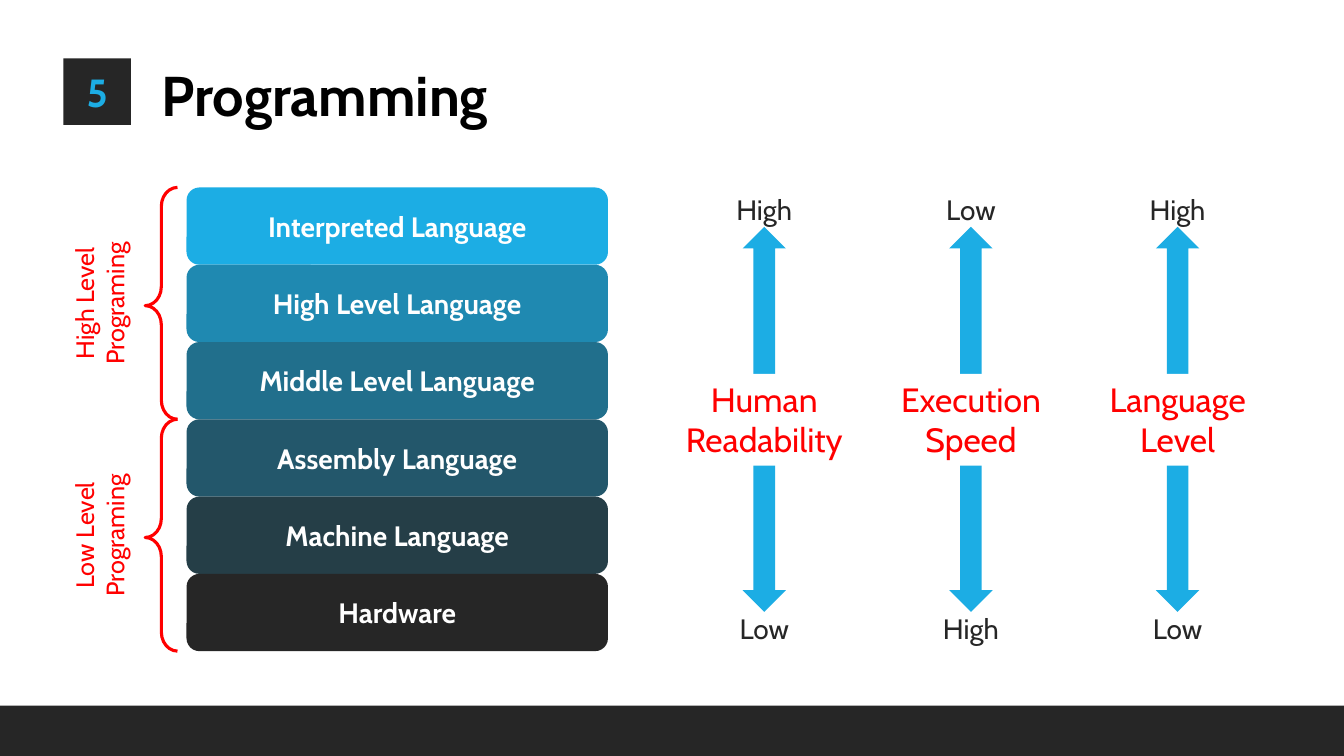
from dataclasses import dataclass

from pptx import Presentation
from pptx.dml.color import RGBColor
from pptx.enum.shapes import MSO_SHAPE
from pptx.enum.text import MSO_ANCHOR, PP_ALIGN
from pptx.shapes.autoshape import Shape
from pptx.slide import Slide
from pptx.util import Inches, Pt

RECTANGLE = MSO_SHAPE.RECTANGLE
ROUNDED = MSO_SHAPE.ROUNDED_RECTANGLE
BRACE = MSO_SHAPE.LEFT_BRACE
ARROW = MSO_SHAPE.UP_DOWN_ARROW
CENTER, LEFT = PP_ALIGN.CENTER, PP_ALIGN.LEFT
MIDDLE, TOP = MSO_ANCHOR.MIDDLE, MSO_ANCHOR.TOP

FONT = "Cabin"
DARK = RGBColor(0x26, 0x26, 0x26)
BLUE = RGBColor(0x1C, 0xAD, 0xE4)
RED = RGBColor(0xFF, 0x00, 0x00)
WHITE = RGBColor(0xFF, 0xFF, 0xFF)
BLACK = RGBColor(0x00, 0x00, 0x00)

STACK_TOP, STACK_HEIGHT = 1.86, 4.6


@dataclass(frozen=True)
class Box:
    left: float
    top: float
    width: float
    height: float


@dataclass(frozen=True)
class TextStyle:
    size: int
    color: RGBColor
    bold: bool = False
    align: PP_ALIGN = CENTER
    anchor: MSO_ANCHOR = TOP


@dataclass(frozen=True)
class Layer:
    text: str
    fill: RGBColor


@dataclass(frozen=True)
class Scale:
    name: str
    top_label: str
    bottom_label: str


NUMBER = TextStyle(28, BLUE, bold=True, anchor=MIDDLE)
TITLE = TextStyle(40, BLACK, bold=True, align=LEFT)
LAYER = TextStyle(20, WHITE, bold=True, anchor=MIDDLE)
GROUP = TextStyle(18, RED)
SCALE_END = TextStyle(20, DARK)
SCALE_NAME = TextStyle(24, RED)

LAYERS = [
    Layer("Interpreted Language", BLUE),
    Layer("High Level Language", RGBColor(0x1F, 0x89, 0xB1)),
    Layer("Middle Level Language", RGBColor(0x21, 0x6F, 0x8C)),
    Layer("Assembly Language", RGBColor(0x23, 0x57, 0x6B)),
    Layer("Machine Language", RGBColor(0x25, 0x3E, 0x47)),
    Layer("Hardware", DARK),
]
GROUPS = ["High Level Programing", "Low Level Programing"]
SCALES = [
    Scale("Human Readability", "High", "Low"),
    Scale("Execution Speed", "Low", "High"),
    Scale("Language Level", "High", "Low"),
]


def write(shape: Shape, text: str, style: TextStyle) -> None:
    frame = shape.text_frame
    frame.word_wrap = True
    frame.vertical_anchor = style.anchor
    paragraph = frame.paragraphs[0]
    paragraph.alignment = style.align
    run = paragraph.add_run()
    run.text = text
    run.font.name = FONT
    run.font.size = Pt(style.size)
    run.font.bold = style.bold
    run.font.color.rgb = style.color


def place(box: Box) -> tuple:
    return Inches(box.left), Inches(box.top), Inches(box.width), Inches(box.height)


def add_filled(slide: Slide, kind: MSO_SHAPE, box: Box, fill: RGBColor) -> Shape:
    shape = slide.shapes.add_shape(kind, *place(box))
    shape.shadow.inherit = False
    shape.fill.solid()
    shape.fill.fore_color.rgb = fill
    shape.line.fill.background()
    return shape


def add_label(slide: Slide, box: Box, text: str, style: TextStyle) -> Shape:
    label = slide.shapes.add_textbox(*place(box))
    write(label, text, style)
    return label


def add_brace(slide: Slide, box: Box) -> None:
    brace = slide.shapes.add_shape(BRACE, *place(box))
    brace.shadow.inherit = False
    brace.adjustments[0] = 0.59
    brace.adjustments[1] = 0.51
    brace.fill.background()
    brace.line.color.rgb = RED
    brace.line.width = Pt(2.25)


def add_scale(slide: Slide, scale: Scale, center: float) -> None:
    add_filled(slide, ARROW, Box(center - 0.215, 2.25, 0.43, 3.82), BLUE)
    for text, top in ((scale.top_label, 1.86), (scale.bottom_label, 6.02)):
        add_label(slide, Box(center - 1.15, top, 2.3, 0.44), text, SCALE_END)
    name_box = Box(center - 0.925, 3.71, 1.85, 0.91)
    write(add_filled(slide, RECTANGLE, name_box, WHITE), scale.name, SCALE_NAME)


def main() -> None:
    presentation = Presentation()
    presentation.slide_width = Inches(13.33)
    presentation.slide_height = Inches(7.5)
    slide = presentation.slides.add_slide(presentation.slide_layouts[6])

    # Footer band and heading
    add_filled(slide, RECTANGLE, Box(0, 7, 13.33, 0.5), DARK)
    number = add_filled(slide, RECTANGLE, Box(0.63, 0.58, 0.67, 0.66), DARK)
    write(number, "5", NUMBER)
    add_label(slide, Box(1.5, 0.55, 4.3, 0.77), "Programming", TITLE)

    # Language stack
    layer_height = STACK_HEIGHT / len(LAYERS)
    for index, layer in enumerate(LAYERS):
        box = Box(1.85, STACK_TOP + index * layer_height, 4.18, layer_height)
        write(add_filled(slide, ROUNDED, box, layer.fill), layer.text, LAYER)

    # Braces with sideways group labels
    group_height = STACK_HEIGHT / len(GROUPS)
    for index, text in enumerate(GROUPS):
        top = STACK_TOP + index * group_height
        add_brace(slide, Box(1.44, top, 0.32, group_height))
        middle = top + group_height / 2
        label = add_label(slide, Box(-0.16, middle - 0.355, 2.3, 0.71), text, GROUP)
        label.rotation = 270

    # Comparison arrows
    for index, scale in enumerate(SCALES):
        add_scale(slide, scale, 7.58 + index * 2.05)

    presentation.save("out.pptx")


if __name__ == "__main__":
    main()
